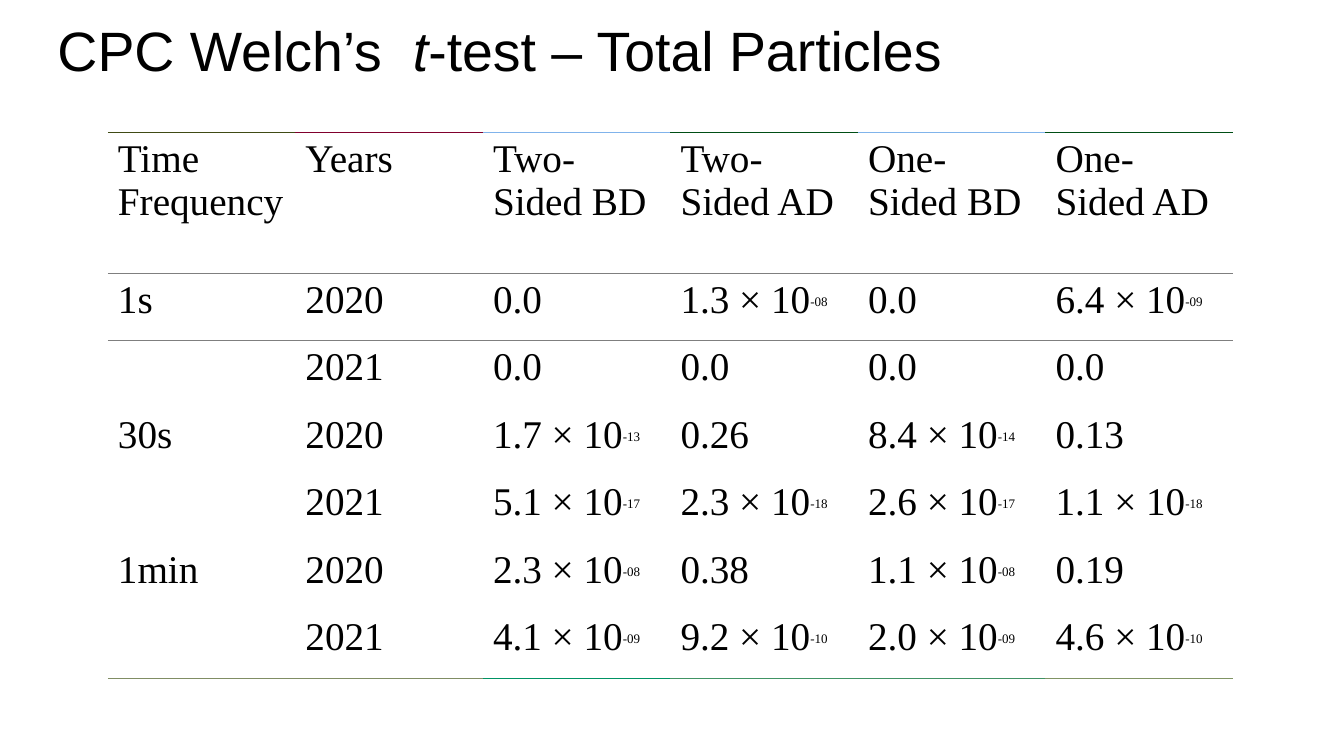
"""Build a slide with a table of Welch's t-test results for total particles."""
from lxml.etree import SubElement
from pptx import Presentation
from pptx.dml.color import RGBColor
from pptx.enum.text import MSO_ANCHOR, MSO_AUTO_SIZE, PP_ALIGN
from pptx.oxml.ns import qn
from pptx.util import Inches, Pt

TITLE = [("CPC Welch’s  ", False), ("t", True), ("-test – Total Particles", False)]
ROWS = [
    ["Time Frequency", "Years", "Two-Sided BD", "Two-Sided AD", "One-Sided BD", "One-Sided AD"],
    ["1s", "2020", "0.0", "1.3 × 10^-08", "0.0", "6.4 × 10^-09"],
    ["", "2021", "0.0", "0.0", "0.0", "0.0"],
    ["30s", "2020", "1.7 × 10^-13", "0.26", "8.4 × 10^-14", "0.13"],
    ["", "2021", "5.1 × 10^-17", "2.3 × 10^-18", "2.6 × 10^-17", "1.1 × 10^-18"],
    ["1min", "2020", "2.3 × 10^-08", "0.38", "1.1 × 10^-08", "0.19"],
    ["", "2021", "4.1 × 10^-09", "9.2 × 10^-10", "2.0 × 10^-09", "4.6 × 10^-10"],
]
TOP_COLORS = ["404B15", "80002D", "80B3EB", "004E15", "80B4EB", "004E15"]
BOTTOM_COLORS = ["808D64", "808D64", "009364", "409464", "409264", "809464"]
HEADER_RULE = "7F7F7F"
TABLE_LEFT, TABLE_TOP, COLUMN_WIDTH = 1.07, 1.31, 1.86
HEADER_HEIGHT, ROW_HEIGHT = 1.4, 0.67
PLAIN_TABLE_STYLE = "{2D5ABB26-0587-4C30-8999-92F81FD0307C}"


def add_text(paragraph, text, size=28, font="Times New Roman", color="000000",
             italic=False, superscript=False):
    run = paragraph.add_run()
    run.text = text
    run.font.size = Pt(size)
    run.font.name = font
    run.font.italic = italic
    run.font.color.rgb = RGBColor.from_string(color)
    if superscript:
        run.font._element.set("baseline", "30000")


def add_border(cell, side, color):
    line = SubElement(cell._tc.get_or_add_tcPr(), qn(f"a:{side}"), w=str(Pt(0.75)))
    fill = SubElement(line, qn("a:solidFill"))
    SubElement(fill, qn("a:srgbClr"), val=color)


def fill_title(title):
    title.left, title.top = Inches(0.47), Inches(0.19)
    title.width, title.height = Inches(11.44), Inches(0.69)
    frame = title.text_frame
    frame.word_wrap = True
    frame.auto_size = MSO_AUTO_SIZE.NONE
    frame.vertical_anchor = MSO_ANCHOR.MIDDLE
    paragraph = frame.paragraphs[0]
    paragraph.alignment = PP_ALIGN.LEFT
    paragraph.line_spacing = 0.9
    for text, italic in TITLE:
        add_text(paragraph, text, size=39.6, font="Arial", italic=italic)


def fill_cell(cell, text, borders):
    for side, color in borders.items():
        add_border(cell, side, color)
    cell.fill.background()
    mantissa, _, exponent = text.partition("^")
    paragraph = cell.text_frame.paragraphs[0]
    if mantissa:
        add_text(paragraph, mantissa)
    if exponent:
        add_text(paragraph, exponent, size=16, superscript=True)


def add_results_table(slide):
    heights = [HEADER_HEIGHT] + [ROW_HEIGHT] * (len(ROWS) - 1)
    column_count = len(ROWS[0])
    table = slide.shapes.add_table(
        len(ROWS), column_count, Inches(TABLE_LEFT), Inches(TABLE_TOP),
        Inches(COLUMN_WIDTH * column_count), Inches(sum(heights))).table
    table.first_row = table.horz_banding = False
    table._tbl.tblPr.find(qn("a:tableStyleId")).text = PLAIN_TABLE_STYLE
    for column in table.columns:
        column.width = Inches(COLUMN_WIDTH)
    for row_index, values in enumerate(ROWS):
        table.rows[row_index].height = Inches(heights[row_index])
        for column_index, text in enumerate(values):
            borders = {}
            if row_index == 0:
                borders = {"lnT": TOP_COLORS[column_index], "lnB": HEADER_RULE}
            elif row_index == 1:
                borders = {"lnT": HEADER_RULE}
            elif row_index == len(ROWS) - 1:
                borders = {"lnB": BOTTOM_COLORS[column_index]}
            fill_cell(table.cell(row_index, column_index), text, borders)


def main():
    presentation = Presentation()
    presentation.slide_width, presentation.slide_height = Inches(13.33), Inches(7.5)
    slide = presentation.slides.add_slide(presentation.slide_layouts[5])
    fill_title(slide.shapes.title)
    add_results_table(slide)
    presentation.save("out.pptx")


if __name__ == "__main__":
    main()
